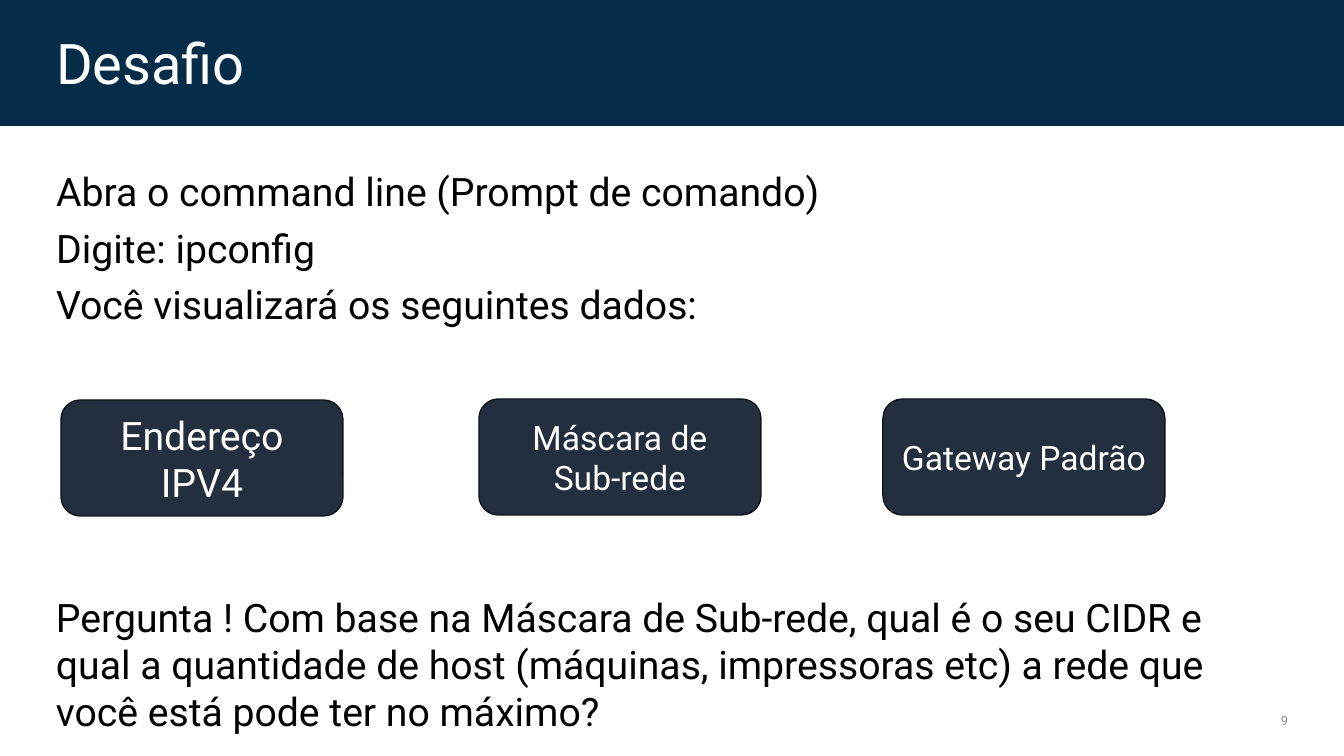
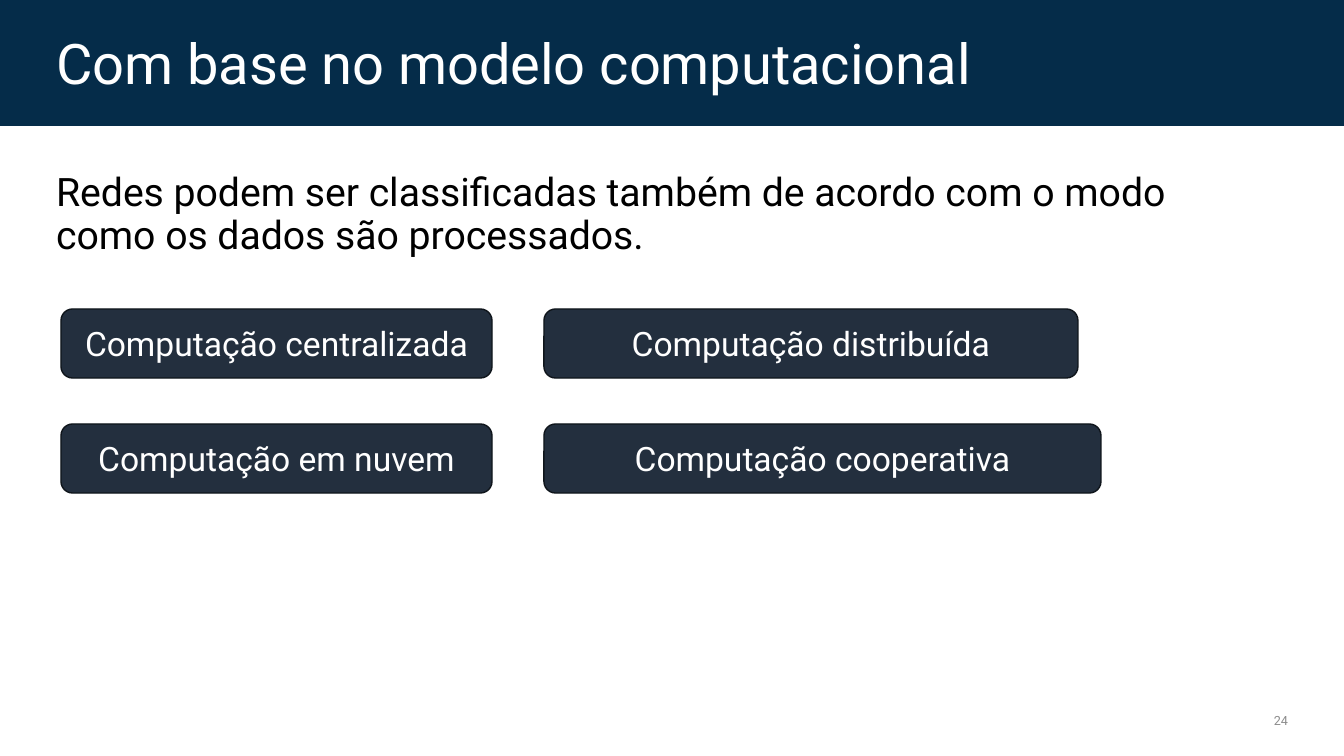
from lxml import etree
from pptx import Presentation
from pptx.dml.color import RGBColor
from pptx.enum.shapes import MSO_SHAPE
from pptx.enum.text import MSO_ANCHOR, MSO_AUTO_SIZE, PP_ALIGN
from pptx.oxml.ns import qn
from pptx.util import Emu, Pt

RECTANGLE, ROUNDED = MSO_SHAPE.RECTANGLE, MSO_SHAPE.ROUNDED_RECTANGLE
TOP, MIDDLE = MSO_ANCHOR.TOP, MSO_ANCHOR.MIDDLE
LEFT, CENTER, RIGHT = PP_ALIGN.LEFT, PP_ALIGN.CENTER, PP_ALIGN.RIGHT
FIXED = MSO_AUTO_SIZE.NONE

PX_PER_INCH = 100.8
WIDTH, HEIGHT = 1344, 756
MARGIN = 46
BOX_LEFT = 61
FONT = "Roboto"
COLORS = {
    "band": "002846",
    "box": "232F3E",
    "edge": "0F151B",
    "white": "FFFFFF",
    "black": "000000",
    "gray": "8C8C8C",
}


def px(length):
    return Emu(round(length * 914400 / PX_PER_INCH))


def color(name):
    return RGBColor.from_string(COLORS[name])


def place(shape, left, top, width, height):
    shape.left, shape.top = px(left), px(top)
    shape.width, shape.height = px(width), px(height)


def write(frame, text, size=28, ink="black", align=LEFT, anchor=TOP,
          spacing=1.0, before=0, plain_list=False):
    frame.word_wrap = True
    frame.auto_size = FIXED
    frame.vertical_anchor = anchor
    for index, line in enumerate(text.split("\n")):
        para = frame.add_paragraph() if index else frame.paragraphs[0]
        if plain_list:
            properties = para._p.get_or_add_pPr()
            properties.set("marL", "0")
            properties.set("indent", "0")
            etree.SubElement(properties, qn("a:buNone"))
        para.alignment = align
        para.line_spacing = spacing
        para.space_before = Pt(before if index else 0)
        span = para.add_run()
        span.text = line
        span.font.name = FONT
        span.font.size = Pt(size)
        span.font.color.rgb = color(ink)


class Deck:
    def __init__(self):
        self.file = Presentation()
        self.file.slide_width, self.file.slide_height = px(WIDTH), px(HEIGHT)
        self.layout = self.file.slide_layouts[1]
        place(self.layout.placeholders[0], MARGIN, 40, 996, 52)
        self.page = None

    def add_page(self, title, number):
        first = self.page is None
        self.page = self.file.slides.add_slide(self.layout)
        if first:
            self.add_layout_band()
        write(self.page.shapes.title.text_frame, title, size=40, ink="white",
              anchor=MIDDLE, spacing=0.9)
        self.add_text(str(number), 996, 701, 302, 40, size=9, ink="gray",
                      align=RIGHT, anchor=MIDDLE)

    def add_layout_band(self):
        band = self.add_shape(RECTANGLE, "band", 0, 0, WIDTH, 126)
        band.line.fill.background()
        fill_color = band.fill._xPr.find(qn("a:solidFill"))[0]
        etree.SubElement(fill_color, qn("a:alpha"), val="98000")
        self.layout.shapes._spTree.insert(2, band._element)

    def add_shape(self, kind, fill, left, top, width, height):
        shape = self.page.shapes.add_shape(
            kind, px(left), px(top), px(width), px(height))
        shape.shadow.inherit = False
        shape.fill.solid()
        shape.fill.fore_color.rgb = color(fill)
        return shape

    def add_body(self, text, width, height):
        body = self.page.placeholders[1]
        place(body, MARGIN, 168, width, height)
        write(body.text_frame, text, spacing=0.9, before=10, plain_list=True)

    def add_text(self, text, left, top, width, height, **style):
        box = self.page.shapes.add_textbox(
            px(left), px(top), px(width), px(height))
        write(box.text_frame, text, **style)

    def add_box(self, text, left, top, width, height, size=24):
        box = self.add_shape(ROUNDED, "box", left, top, width, height)
        box.line.color.rgb = color("edge")
        box.line.width = Pt(1)
        write(box.text_frame, text, size=size, ink="white", align=CENTER,
              anchor=MIDDLE)


def add_challenge(deck):
    deck.add_page("Desafio", 9)
    deck.add_body("Abra o command line (Prompt de comando)\n"
                  "Digite: ipconfig\n"
                  "Você visualizará os seguintes dados:", 1252, 297)
    for text, left, top, size in (
        ("Endereço IPV4", BOX_LEFT, 400, 28),
        ("Máscara de\nSub-rede", 479, 399, 24),
        ("Gateway Padrão", 883, 399, 24),
    ):
        deck.add_box(text, left, top, 282, 116, size)
    deck.add_text("Pergunta ! Com base na Máscara de Sub-rede, qual é o seu "
                  "CIDR e qual a quantidade de host (máquinas, impressoras "
                  "etc) a rede que você está pode ter no máximo?",
                  MARGIN, 588, 1239, 152)


def add_computing_models(deck):
    deck.add_page("Com base no modelo computacional", 24)
    deck.add_body("Redes podem ser classificadas também de acordo com o modo "
                  "como os dados são processados.", 1201, 512)
    rows = (
        (("Computação centralizada", 431), ("Computação distribuída", 534)),
        (("Computação em nuvem", 431), ("Computação cooperativa", 557)),
    )
    for row, models in enumerate(rows):
        for left, (text, width) in zip((BOX_LEFT, 544), models):
            deck.add_box(text, left, 309 + 115 * row, width, 69)


def main():
    deck = Deck()
    add_challenge(deck)
    add_computing_models(deck)
    deck.file.save("out.pptx")


if __name__ == "__main__":
    main()
